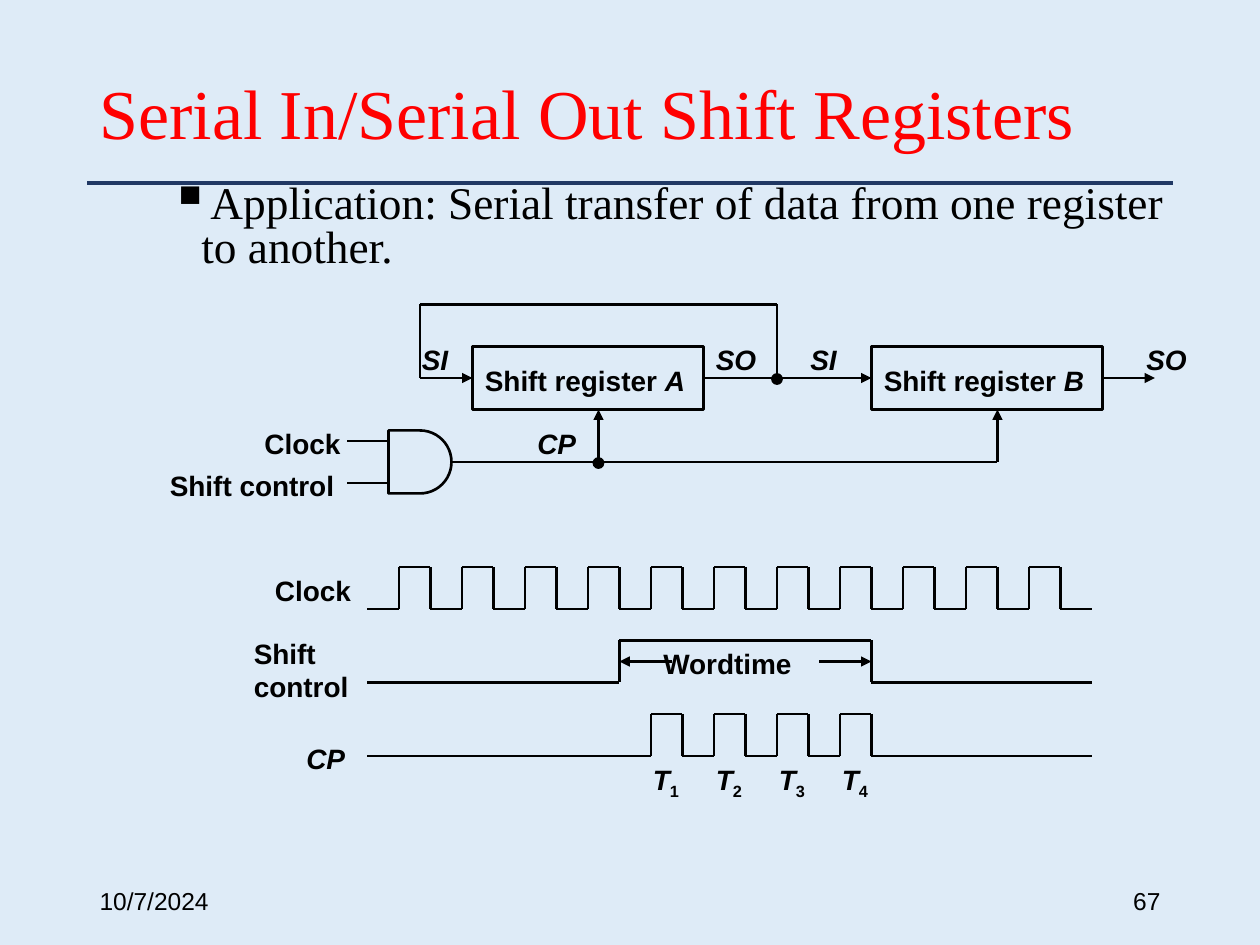
"""Build a slide on serial data transfer between two shift registers."""
from lxml import etree
from pptx import Presentation
from pptx.dml.color import RGBColor
from pptx.enum.shapes import MSO_CONNECTOR, MSO_SHAPE
from pptx.enum.text import MSO_ANCHOR, MSO_AUTO_SIZE, PP_ALIGN
from pptx.oxml.ns import qn
from pptx.util import Pt

PX = 7620
BLACK = RGBColor(0x00, 0x00, 0x00)
RED = RGBColor(0xFF, 0x00, 0x00)
NAVY = RGBColor(0x20, 0x38, 0x64)
PALE_BLUE = RGBColor(0xDE, 0xEB, 0xF7)
STRAIGHT = MSO_CONNECTOR.STRAIGHT
RECT, OVAL, DELAY = MSO_SHAPE.RECTANGLE, MSO_SHAPE.OVAL, MSO_SHAPE.FLOWCHART_DELAY
TOP, MIDDLE = MSO_ANCHOR.TOP, MSO_ANCHOR.MIDDLE
LEFT, RIGHT = PP_ALIGN.LEFT, PP_ALIGN.RIGHT
GROW = MSO_AUTO_SIZE.SHAPE_TO_FIT_TEXT
SITE_LEFT, SITE_RIGHT = 1, 3


class Diagram:
    """Hold the style and the slide being drawn."""

    serif, sans = "Times New Roman", "Arial"

    def __init__(self, slide):
        self.slide = slide
        fill = slide.background.fill
        fill.solid()
        fill.fore_color.rgb = PALE_BLUE

    def text(self, x, y, w, h, text, size, font, color=BLACK, anchor=TOP, align=LEFT):
        s = self.slide.shapes.add_textbox(x * PX, y * PX, w * PX, h * PX)
        tf = s.text_frame
        tf.word_wrap = True
        tf.vertical_anchor = anchor
        p = tf.paragraphs[0]
        p.alignment = align
        p.add_run().text = text
        p.font.size, p.font.name = Pt(size), font
        p.font.color.rgb = color
        return s

    def bullet(self, x, y, w, h, text, size):
        p = self.text(x, y, w, h, text, size, self.serif).text_frame.paragraphs[0]
        pPr = p._p.get_or_add_pPr()
        pPr.set("marL", str(30 * PX))
        pPr.set("indent", str(-30 * PX))
        marker = [etree.Element(qn("a:buSzPct"), val="120000"),
                  etree.Element(qn("a:buChar"), char="▪")]
        for i, element in enumerate(marker):
            pPr.insert(i, element)
        p.line_spacing = 0.8

    def label(self, x, y, w, text, italic=False, tail="", h=44):
        s = self.text(x, y, w, h, text, 16, self.sans)
        s.text_frame.auto_size = GROW
        p = s.text_frame.paragraphs[0]
        p.font.bold = True
        if not tail:
            p.font.italic = italic
            return None
        p.runs[0].font.italic = italic
        r = p.add_run()
        r.text = tail
        r.font.italic = not italic
        return r

    def subscript(self, x, y, w, text, index):
        r = self.label(x, y, w, text, True, index)
        r._r.get_or_add_rPr().set("baseline", "-25000")

    def shape(self, kind, x, y, w, h, width=1.5, fill=None):
        s = self.slide.shapes.add_shape(kind, x * PX, y * PX, w * PX, h * PX)
        s.shadow.inherit = False
        if fill is None:
            s.fill.background()
        else:
            s.fill.solid()
            s.fill.fore_color.rgb = fill
        s.line.color.rgb = BLACK
        s.line.width = Pt(width)
        return s

    def register(self, x, y, name):
        s = self.shape(RECT, x, y, 220, 60)
        self.label(x, y + 10, 220, "Shift register ", tail=name)
        return s

    def dot(self, x, y):
        self.shape(OVAL, x - 5, y - 5, 10, 10, 0.75, BLACK)

    def line(self, x1, y1, x2, y2, arrow=False, start=None, end=None, color=BLACK, width=1.25):
        s = self.slide.shapes.add_connector(STRAIGHT, x1 * PX, y1 * PX, x2 * PX, y2 * PX)
        s.line.color.rgb = color
        s.line.width = Pt(width)
        if arrow:
            etree.SubElement(s.line._get_or_add_ln(), qn("a:tailEnd"), type="triangle")
        etree.SubElement(s._element.spPr, qn("a:effectLst"))
        if start:
            s.begin_connect(start, SITE_RIGHT)
        if end:
            s.end_connect(end, SITE_LEFT)

    def wave(self, base, pulses, left=350, right=1040, height=40):
        x, top = left, base - height
        for rise, fall in pulses:
            self.line(x, base, rise, base)
            self.line(rise, base, rise, top)
            self.line(rise, top, fall, top)
            self.line(fall, top, fall, base)
            x = fall
        self.line(x, base, right, base)


def draw_frame(d):
    d.line(83, 174, 1117, 174, color=NAVY, width=2.25)
    d.text(83, 834, 270, 48, "10/7/2024", 14, d.sans, anchor=MIDDLE)
    d.text(847, 834, 270, 48, "67", 14, d.sans, anchor=MIDDLE, align=RIGHT)
    d.text(83, 48, 1034, 126, "Serial In/Serial Out Shift Registers", 40, d.serif,
           RED, MIDDLE).text_frame.paragraphs[0].line_spacing = 0.9
    d.bullet(150, 170, 1010, 100,
             "Application: Serial transfer of data from one register to another.", 25.9)


def draw_circuit(d):
    reg_a = d.register(450, 330, "A")
    reg_b = d.register(830, 330, "B")
    d.line(670, 360, 830, 360, True, reg_a, reg_b)
    d.line(1050, 360, 1100, 360, True, start=reg_b)
    d.line(400, 360, 450, 360, True, end=reg_a)
    for x in (400, 740):
        d.line(x, 290, x, 360)
    d.line(740, 290, 400, 290)
    d.dot(740, 361)
    for x, w, text in ((390, 60, "SI"), (760, 60, "SI"), (670, 70, "SO"), (1080, 70, "SO")):
        d.label(x, 320, w, text, True)

    gate = d.shape(DELAY, 370, 410, 60, 60)
    d.line(430, 440, 950, 440, start=gate)
    for x in (570, 950):
        d.line(x, 440, x, 390, True)
    d.dot(570, 441)
    for y in (420, 460):
        d.line(370, y, 330, y)
    d.label(240, 400, 100, "Clock")
    d.label(150, 440, 190, "Shift control")
    d.label(500, 400, 70, "CP", True)


def draw_timing(d):
    clock = [(x, x + 30) for x in range(380, 1040, 60)]
    word = clock[4:8]
    d.wave(580, clock)
    d.wave(650, [(590, 830)])
    d.wave(720, word)
    d.line(640, 630, 590, 630, True)
    d.line(780, 630, 830, 630, True)
    d.label(620, 610, 190, "Wordtime")
    for i, (rise, _) in enumerate(word, 1):
        d.subscript(rise - 10, 720, 60, "T", str(i))
    d.label(280, 700, 70, "CP", True)
    d.label(250, 540, 100, "Clock")
    d.label(230, 600, 120, "Shift control", h=77)


def main():
    prs = Presentation()
    prs.slide_width, prs.slide_height = 1200 * PX, 900 * PX
    d = Diagram(prs.slides.add_slide(prs.slide_layouts[6]))
    draw_frame(d)
    draw_circuit(d)
    draw_timing(d)
    prs.save("out.pptx")


if __name__ == "__main__":
    main()
